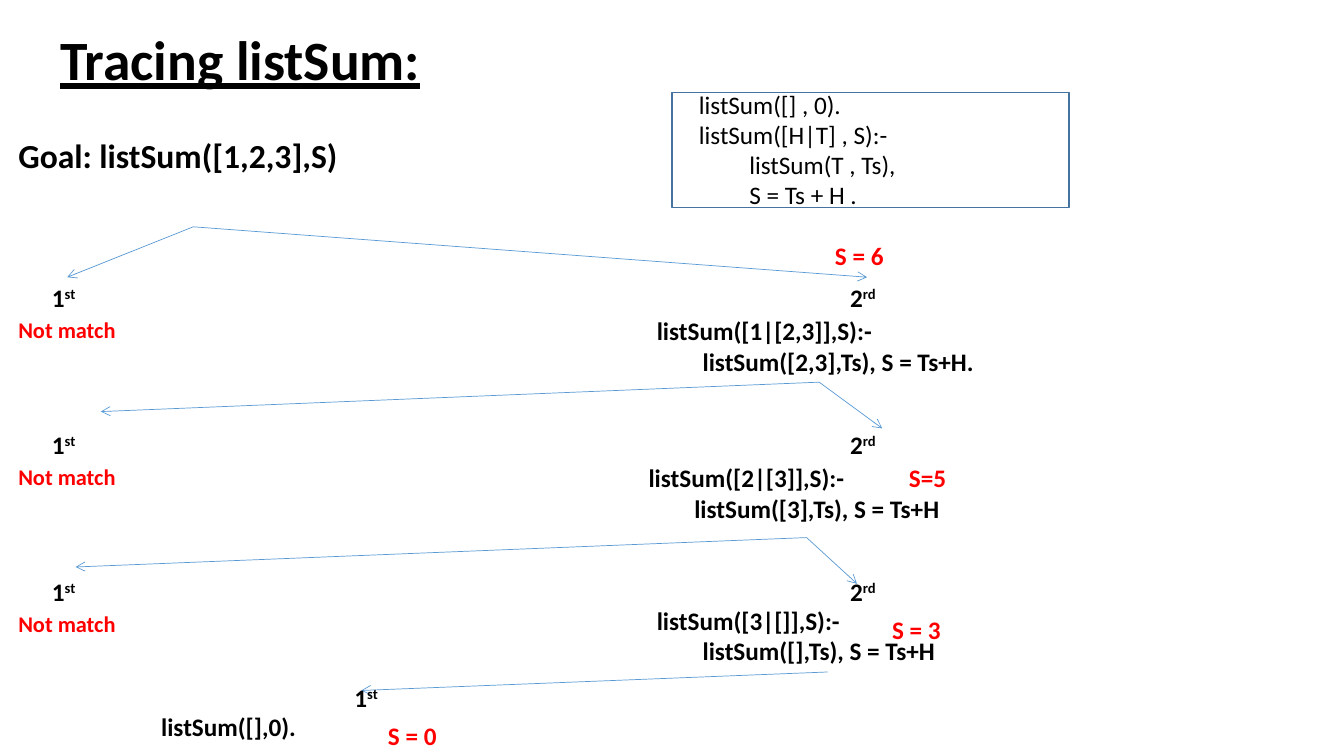
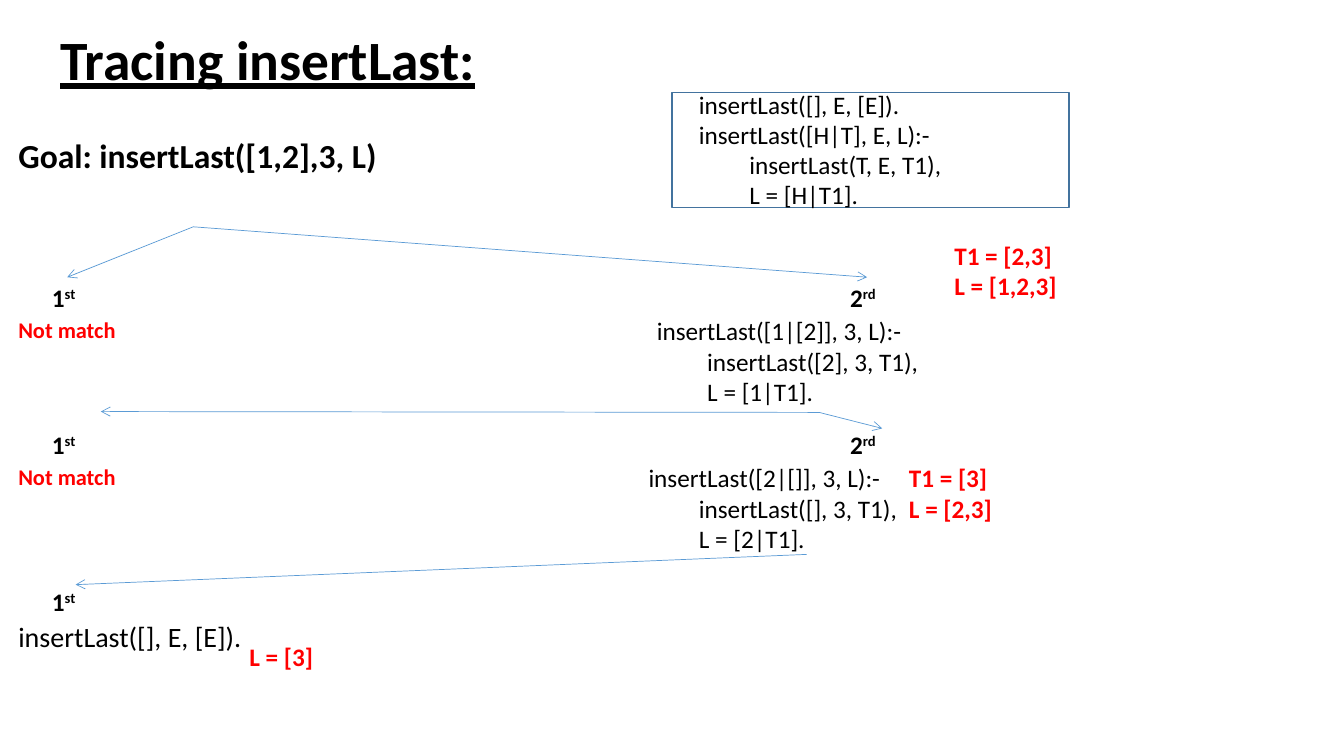
from pptx import Presentation
from pptx.util import Inches, Pt
from pptx.dml.color import RGBColor
from pptx.enum.shapes import MSO_CONNECTOR, MSO_SHAPE
from pptx.oxml.ns import qn
from lxml.etree import SubElement


def hue(code):
    return RGBColor.from_string(code)


def unit(count):
    """Length of a number of grid cells, twelve to the inch."""
    return Inches(count / 12)


# Shared style
INK, RED, BLUE, EDGE, WHITE = "000000", "FF0000", "5B9BD5", "43739E", "FFFFFF"
BASE = {"name": "Calibri", "size": Pt(18), "bold": True}
TITLE = {"size": Pt(39.6), "underline": True}
GOAL = {"size": Pt(24)}
SMALL = {"size": Pt(16)}
LARGE = {"size": Pt(20), "bold": False}
PLAIN = {"bold": False}
LEFT, RIGHT = 5, 100      # columns of the two branches
TOP, STEP = 33, 17.5      # first row and pitch of the trace levels


class Deck:
    def __init__(self):
        self.file = Presentation()
        self.file.slide_width = Inches(13.33)
        self.file.slide_height = Inches(7.5)
        self.slide = None

    def page(self, title, goal, rules):
        """Start a slide with its title, goal and boxed rules."""
        self.slide = self.file.slides.add_slide(self.file.slide_layouts[6])
        self.text(6, 3.3, 108, [title], TITLE, space=0.9)
        self.text(1, 16, 146, [goal], GOAL, space=0.9)
        self.box(80, 11, 47.25, 13.75)
        self.text(82, 10, 44, rules, PLAIN, flush=2)

    def run(self, para, words, look, tint):
        run = para.add_run()
        run.text = words
        for name, value in {**BASE, **look}.items():
            setattr(run.font, name, value)
        run.font.color.rgb = hue(tint)
        return run

    def text(self, col, row, wide, lines, look={}, tint=INK, flush=9, indent=6, space=None):
        """Lines of text; those after the first flush ones are indented."""
        size = {**BASE, **look}["size"].pt
        high = 1.2 + 0.2 * size * len(lines)
        box = self.slide.shapes.add_textbox(unit(col), unit(row), unit(wide), unit(high))
        frame = box.text_frame
        frame.word_wrap = True
        for num, line in enumerate(lines):
            para = frame.add_paragraph() if num else frame.paragraphs[0]
            para.line_spacing = space
            if num >= flush:
                para._p.get_or_add_pPr().set("marL", str(unit(indent)))
            self.run(para, line, look, tint)
        return frame

    def mark(self, col, row, digit, end):
        """Ordinal number with a raised ending."""
        frame = self.text(col, row, 6.5, [digit])
        raised = self.run(frame.paragraphs[0], end, {}, INK)
        raised._r.get_or_add_rPr().set("baseline", "30000")

    def value(self, col, row, wide, *lines):
        self.text(col, row, wide, lines, tint=RED)

    def box(self, col, row, wide, high):
        rect = self.slide.shapes.add_shape(
            MSO_SHAPE.RECTANGLE, unit(col), unit(row), unit(wide), unit(high))
        rect.shadow.inherit = False
        rect.fill.solid()
        rect.fill.fore_color.rgb = hue(WHITE)
        rect.line.color.rgb = hue(EDGE)
        rect.line.width = Pt(1)

    def fork(self, start, *ends):
        """Arrows from one point to each end."""
        for end in ends:
            spots = [unit(spot) for spot in (*start, *end)]
            line = self.slide.shapes.add_connector(MSO_CONNECTOR.STRAIGHT, *spots)
            line.line.color.rgb = hue(BLUE)
            line.line.width = Pt(0.5)
            SubElement(line.line._ln, qn("a:tailEnd"), type="arrow")
            SubElement(line._element.spPr, qn("a:effectLst"))

    def level(self, num):
        """Branch labels of one trace level, the first one failing."""
        row = TOP + num * STEP
        self.mark(LEFT, row, "1", "st")
        self.mark(RIGHT, row, "2", "rd")
        self.text(1, row + 4, 14.2, ["Not match"], SMALL, RED)


deck = Deck()
ROOT = ((23, 27), (8, 33), (103.2, 33))

# Slide 1: listSum
deck.page("Tracing listSum:", "Goal: listSum([1,2,3],S)", [
    "listSum([] , 0).", "listSum([H|T] , S):-", "listSum(T , Ts),", "S = Ts + H ."])
for num, (col, row, wide, lines) in enumerate([
    (77, 37, 41, ["listSum([1|[2,3]],S):-", "listSum([2,3],Ts), S = Ts+H."]),
    (76, 54.5, 44, ["listSum([2|[3]],S):-", "listSum([3],Ts), S = Ts+H"]),
    (77, 71.5, 43, ["listSum([3|[]],S):-", "listSum([],Ts), S = Ts+H"]),
]):
    deck.level(num)
    deck.text(col, row, wide, lines, flush=1, indent=5.45)
for fork in [
    ROOT,
    ((97.5, 45.5), (12, 49), (105, 51)),
    ((96, 64), (9, 67.5), (102, 69.5)),
    ((98.5, 80), (43, 82.2)),
]:
    deck.fork(*fork)
deck.mark(41, 80.6, "1", "st")
deck.text(18, 84.1, 43, ["listSum([],0)."])
for col, row, words in [
    (45, 85.2, "S = 0"), (105, 72.5, "S = 3"), (107, 54.5, "S=5"), (98.2, 28, "S = 6"),
]:
    deck.value(col, row, 11, words)

# Slide 2: insertLast
deck.page("Tracing insertLast:", "Goal: insertLast([1,2],3, L)", [
    "insertLast([], E, [E]).", "insertLast([H|T], E, L):-", "insertLast(T, E, T1),",
    "L = [H|T1]."])
for num, (col, row, wide, lines) in enumerate([
    (77, 37, 41, ["insertLast([1|[2]], 3, L):-", "insertLast([2], 3, T1),", "L = [1|T1]."]),
    (76, 54.5, 44, ["insertLast([2|[]], 3, L):-", "insertLast([], 3, T1),", "L = [2|T1]."]),
]):
    deck.level(num)
    deck.text(col, row, wide, lines, PLAIN, flush=1)
for fork in [
    ROOT,
    ((97.5, 49.1), (12, 49), (105, 51)),
    ((96, 66), (9, 69.6)),
]:
    deck.fork(*fork)
deck.mark(LEFT, 69.2, "1", "st")
deck.text(1, 73.1, 29.3, ["insertLast([], E, [E])."], LARGE)
deck.value(28.5, 75.8, 11, "L = [3]")
deck.value(107, 54.5, 18.8, "T1 = [3]", "L = [2,3]")
deck.value(112.4, 28, 15, "T1 = [2,3]", "L = [1,2,3]")

deck.file.save("out.pptx")
